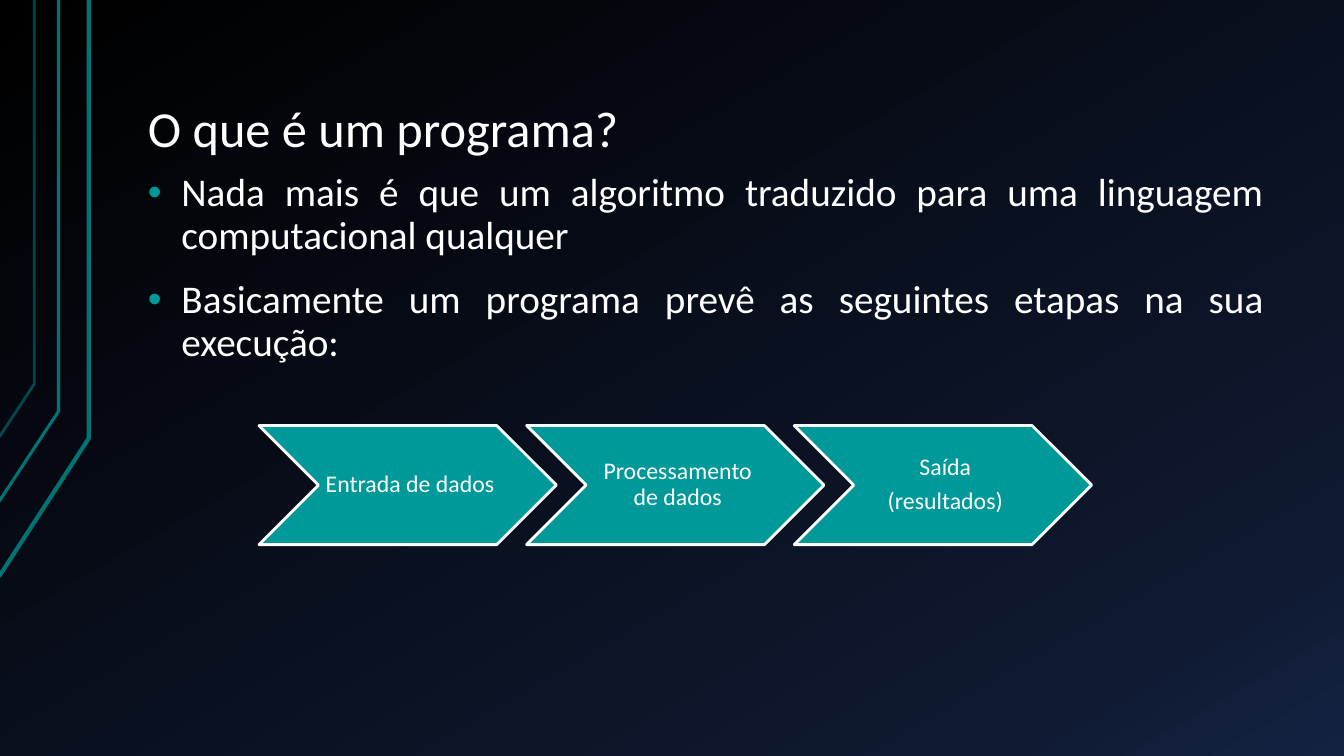
from dataclasses import dataclass

from lxml import etree
from pptx import Presentation
from pptx.dml.color import RGBColor
from pptx.enum.shapes import MSO_SHAPE
from pptx.enum.text import MSO_ANCHOR, MSO_AUTO_SIZE, PP_ALIGN
from pptx.oxml import parse_xml
from pptx.oxml.ns import qn
from pptx.shapes.base import BaseShape
from pptx.slide import Slide
from pptx.util import Pt

CHEVRON = MSO_SHAPE.CHEVRON
BOTTOM, MIDDLE, TOP = MSO_ANCHOR.BOTTOM, MSO_ANCHOR.MIDDLE, MSO_ANCHOR.TOP
LEFT, CENTER, JUSTIFY = PP_ALIGN.LEFT, PP_ALIGN.CENTER, PP_ALIGN.JUSTIFY
NO_AUTOFIT = MSO_AUTO_SIZE.NONE

WHITE = RGBColor(0xFF, 0xFF, 0xFF)
TEAL = RGBColor(0x00, 0x99, 0x99)
DARK_TEAL = RGBColor(0x00, 0x73, 0x73)
GRADIENT = (
    (0, RGBColor(0x00, 0x00, 0x00)),
    (85, RGBColor(0x0F, 0x19, 0x31)),
    (100, RGBColor(0x14, 0x22, 0x42)),
)
GRADIENT_ANGLE = 60

FONT = "Calibri"
NAMESPACES = (
    'xmlns:a="http://schemas.openxmlformats.org/drawingml/2006/main" '
    'xmlns:p="http://schemas.openxmlformats.org/presentationml/2006/main"'
)

STEP_LEFT, STEP_TOP = 185, 304
STEP_WIDTH, STEP_HEIGHT = 212.4, 85
STEP_PITCH = 0.9 * STEP_WIDTH


@dataclass(frozen=True)
class Circuit:
    points: tuple[tuple[float, float], ...]
    width: float
    opacity: int = 100


CIRCUITS = (
    Circuit(((-0.7, 411.8), (63.4, 313.2), (63.4, 0)), 3),
    Circuit(((-1.4, 359.3), (41.8, 293.8), (41.8, 0)), 2.25),
    Circuit(((-0.7, 312.5), (24.5, 274.3), (24.5, 0)), 2, opacity=60),
)

TITLE = "O que é um programa?"
BULLETS = (
    "Nada mais é que um algoritmo traduzido para uma linguagem computacional qualquer",
    "Basicamente um programa prevê as seguintes etapas na sua execução:",
)
STEPS = (
    ("Entrada de dados",),
    ("Processamento de dados",),
    ("Saída", "(resultados)"),
)


def set_background(slide: Slide) -> None:
    stops = "".join(
        f'<a:gs pos="{position * 1000}"><a:srgbClr val="{color}"/></a:gs>'
        for position, color in GRADIENT
    )
    background = parse_xml(
        f"<p:bg {NAMESPACES}><p:bgPr><a:gradFill><a:gsLst>{stops}</a:gsLst>"
        f'<a:lin ang="{GRADIENT_ANGLE * 60000}" scaled="0"/></a:gradFill>'
        "<a:effectLst/></p:bgPr></p:bg>"
    )
    slide.element.cSld.insert(0, background)


def place(shape: BaseShape, left: float, top: float, width: float, height: float) -> None:
    shape.left, shape.top = Pt(left), Pt(top)
    shape.width, shape.height = Pt(width), Pt(height)


def add_bullet(paragraph_properties: etree.ElementBase, indent: float) -> None:
    paragraph_properties.set("marL", str(Pt(indent)))
    paragraph_properties.set("indent", str(-Pt(indent)))
    bullet_color = etree.SubElement(paragraph_properties, qn("a:buClr"))
    etree.SubElement(bullet_color, qn("a:srgbClr"), val=str(TEAL))
    etree.SubElement(paragraph_properties, qn("a:buFont"), typeface="Arial")
    etree.SubElement(paragraph_properties, qn("a:buChar"), char="•")


def write_text(
    shape: BaseShape,
    lines: tuple[str, ...],
    *,
    size: float,
    align: PP_ALIGN,
    anchor: MSO_ANCHOR,
    insets: tuple[float, float, float, float],
    before: float = 0,
    after: float = 0,
    bullet_indent: float = 0,
) -> None:
    frame = shape.text_frame
    frame.word_wrap = True
    frame.auto_size = NO_AUTOFIT
    frame.vertical_anchor = anchor
    frame.margin_left, frame.margin_top, frame.margin_right, frame.margin_bottom = map(Pt, insets)
    for index, line in enumerate(lines):
        paragraph = frame.add_paragraph() if index else frame.paragraphs[0]
        paragraph.alignment = align
        paragraph.line_spacing = 0.9
        paragraph.space_before = Pt(before)
        paragraph.space_after = Pt(after)
        if bullet_indent:
            add_bullet(paragraph._p.get_or_add_pPr(), bullet_indent)
        run = paragraph.add_run()
        run.text = line
        run.font.name = FONT
        run.font.size = Pt(size)
        run.font.color.rgb = WHITE


def draw_circuit(slide: Slide, circuit: Circuit) -> None:
    start, *corners = [(Pt(x), Pt(y)) for x, y in circuit.points]
    builder = slide.shapes.build_freeform(*start)
    builder.add_line_segments(corners, close=False)
    shape = builder.convert_to_shape()
    shape.shadow.inherit = False
    shape.fill.background()
    shape.line.color.rgb = DARK_TEAL
    shape.line.width = Pt(circuit.width)
    if circuit.opacity < 100:
        color = shape.element.spPr.find(f"{qn('a:ln')}//{qn('a:srgbClr')}")
        etree.SubElement(color, qn("a:alpha"), val=str(circuit.opacity * 1000))


def draw_step(slide: Slide, index: int, lines: tuple[str, ...]) -> None:
    shape = slide.shapes.add_shape(
        CHEVRON,
        Pt(STEP_LEFT + index * STEP_PITCH),
        Pt(STEP_TOP),
        Pt(STEP_WIDTH),
        Pt(STEP_HEIGHT),
    )
    shape.shadow.inherit = False
    shape.fill.solid()
    shape.fill.fore_color.rgb = TEAL
    shape.line.color.rgb = WHITE
    shape.line.width = Pt(2)
    write_text(shape, lines, size=17, align=CENTER, anchor=MIDDLE,
               insets=(5, 1.5, 1.5, 1.5), after=6)


def main() -> None:
    presentation = Presentation()
    presentation.slide_width, presentation.slide_height = Pt(960), Pt(540)
    slide = presentation.slides.add_slide(presentation.slide_layouts[1])
    set_background(slide)

    for circuit in CIRCUITS:
        draw_circuit(slide, circuit)

    title, body = slide.placeholders
    place(title, 96, 21.6, 816, 96.5)
    write_text(title, (TITLE,), size=36, align=LEFT, anchor=BOTTOM,
               insets=(9.6, 4.8, 9.6, 4.8))
    place(body, 96, 118.8, 816, 151.2)
    write_text(body, BULLETS, size=28, align=JUSTIFY, anchor=TOP,
               insets=(9.6, 4.8, 9.6, 4.8), before=16, bullet_indent=24)

    for index, lines in enumerate(STEPS):
        draw_step(slide, index, lines)

    presentation.save("out.pptx")


if __name__ == "__main__":
    main()
